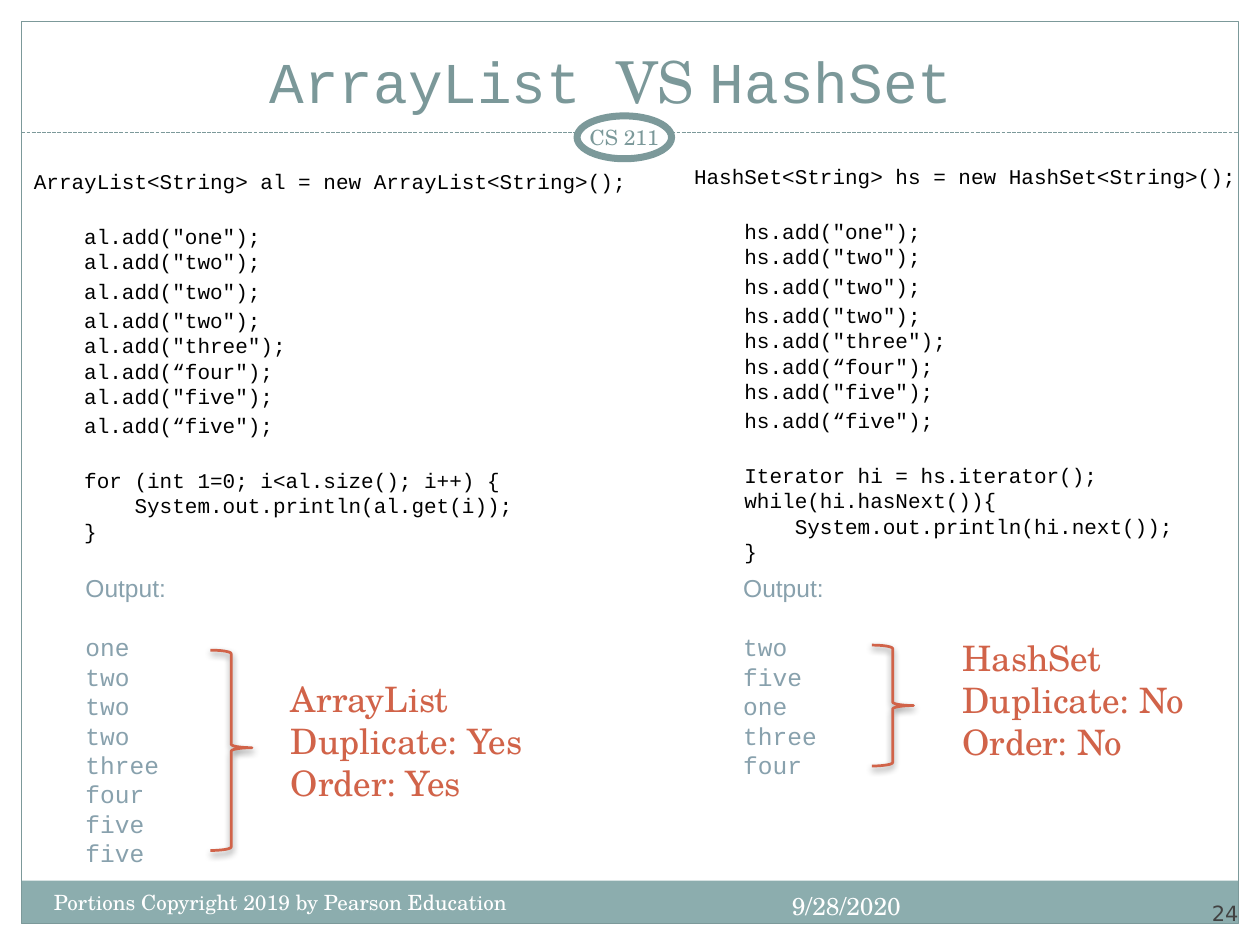
import pptx
import pptx.util
import pptx.dml.color
import pptx.enum.dml
import pptx.enum.shapes
import pptx.enum.text
import lxml.etree

Inches, Pt = pptx.util.Inches, pptx.util.Pt
SHAPE = pptx.enum.shapes.MSO_SHAPE
ALIGN = pptx.enum.text.PP_ALIGN
ANCHOR = pptx.enum.text.MSO_ANCHOR
DRAWING = "http://schemas.openxmlformats.org/drawingml/2006/main"

CODE, SERIF, SANS = "Courier New", "TeX Gyre Schola", "Arial"
TEAL, BAND, ACCENT, MUTED = "7C999A", "8CADAE", "D16349", "88A1AD"
WIDTH, HEIGHT, MARGIN = 10, 7.5, 0.17
RULE_TOP, BAND_TOP, OUTPUT_TOP = 1.05, 6.99, 4.5
CODE_GAP, LINE_GAP, OUTPUT_GAP = 17, 2.4, 17

TITLE = [("ArrayList ", CODE), ("VS ", SERIF), ("HashSet", CODE)]

# Each code block is a list of (space before in points, text).
COLUMNS = [
    {
        "code_at": (0.17, 1.29, 4.98, 3.33),
        "code": [
            (0, "ArrayList<String> al = new ArrayList<String>();"),
            (CODE_GAP, '    al.add("one");\n    al.add("two");'),
            (LINE_GAP, '    al.add("two");'),
            (LINE_GAP, '    al.add("two");\n    al.add("three");\n'
                       '    al.add(“four");\n    al.add("five");'),
            (LINE_GAP, '    al.add(“five");'),
            (CODE_GAP, "    for (int 1=0; i<al.size(); i++) {\n"
                       "        System.out.println(al.get(i));\n    }"),
        ],
        "output_left": 0.58,
        "output": ["one", "two", "two", "two", "three", "four", "five", "five"],
        "brace_at": (1.67, 5.16, 0.33, 1.59),
        "brace_point": 0.487,
        "summary_at": (2.21, 5.33, 2.13, 1.11),
        "summary": ["ArrayList", "Duplicate: Yes", "Order: Yes"],
    },
    {
        "code_at": (5.41, 1.25, 4.58, 3.37),
        "code": [
            (0, "HashSet<String> hs = new HashSet<String>();"),
            (CODE_GAP, '    hs.add("one");\n    hs.add("two");'),
            (LINE_GAP, '    hs.add("two");'),
            (LINE_GAP, '    hs.add("two");\n    hs.add("three");\n'
                       '    hs.add(“four");\n    hs.add("five");'),
            (LINE_GAP, '    hs.add(“five");'),
            (CODE_GAP, "    Iterator hi = hs.iterator();\n    while(hi.hasNext()){\n"
                       "        System.out.println(hi.next());\n    }"),
        ],
        "output_left": 5.8,
        "output": ["two", "five", "one", "three", "four"],
        "brace_at": (6.92, 5.12, 0.33, 0.96),
        "brace_point": 0.5,
        "summary_at": (7.54, 5, 2.13, 1.11),
        "summary": ["HashSet", "Duplicate: No", "Order: No"],
    },
]


def color(value):
    return pptx.dml.color.RGBColor.from_string(value)


def style(font, name, size, value):
    font.name, font.size = name, Pt(size)
    font.color.rgb = color(value)


def add_preset(slide, kind, at, fill=None, line=None, line_width=0.75):
    shape = slide.shapes.add_shape(kind, *map(Inches, at))
    shape.shadow.inherit = False
    if fill:
        shape.fill.solid()
        shape.fill.fore_color.rgb = color(fill)
    else:
        shape.fill.background()
    if line:
        shape.line.color.rgb = color(line)
        shape.line.width = Pt(line_width)
    else:
        shape.line.fill.background()
    return shape


def set_insets(frame, inset):
    frame.margin_left = frame.margin_right = Inches(inset)
    frame.margin_top = frame.margin_bottom = Inches(inset)


def add_text(slide, at, paragraphs, font, size, value, align=ALIGN.LEFT):
    """Add a text box from (space before, text) pairs and return its frame."""
    frame = slide.shapes.add_textbox(*map(Inches, at)).text_frame
    frame.word_wrap = True
    for index, (space, text) in enumerate(paragraphs):
        paragraph = frame.add_paragraph() if index else frame.paragraphs[0]
        paragraph.text = text
        paragraph.alignment = align
        if space:
            paragraph.space_before = Pt(space)
        style(paragraph.font, font, size, value)
    return frame


def add_soft_shadow(shape):
    effects = shape._element.spPr.find(f"{{{DRAWING}}}effectLst")
    shadow = lxml.etree.SubElement(
        effects, f"{{{DRAWING}}}outerShdw", blurRad=str(Pt(4)),
        dist=str(Pt(2)), dir="5400000", rotWithShape="0")
    black = lxml.etree.SubElement(shadow, f"{{{DRAWING}}}srgbClr", val="000000")
    lxml.etree.SubElement(black, f"{{{DRAWING}}}alpha", val="45000")


def add_frame(slide):
    inner_width = WIDTH - 2 * MARGIN
    add_preset(slide, SHAPE.RECTANGLE, (MARGIN, BAND_TOP, inner_width, 0.34), fill=BAND)
    add_preset(slide, SHAPE.RECTANGLE,
               (MARGIN, MARGIN, inner_width, HEIGHT - 2 * MARGIN), line=TEAL)
    rule = slide.shapes.add_connector(
        pptx.enum.shapes.MSO_CONNECTOR.STRAIGHT, Inches(MARGIN), Inches(RULE_TOP),
        Inches(WIDTH - MARGIN), Inches(RULE_TOP))
    rule.line.color.rgb = color(TEAL)
    rule.line.width = Pt(0.75)
    rule.line.dash_style = pptx.enum.dml.MSO_LINE.SQUARE_DOT
    lxml.etree.SubElement(rule._element.spPr, f"{{{DRAWING}}}effectLst")

    badge = add_preset(slide, SHAPE.OVAL, (4.58, 0.92, 0.75, 0.34), "FFFFFF", TEAL, 4)
    frame = badge.text_frame
    frame.word_wrap = False
    frame.vertical_anchor = ANCHOR.MIDDLE
    set_insets(frame, 0)
    paragraph = frame.paragraphs[0]
    paragraph.text = "CS 211"
    paragraph.alignment = ALIGN.CENTER
    style(paragraph.font, SERIF, 12, TEAL)


def add_title(slide):
    frame = slide.shapes.add_textbox(*map(Inches, (0.33, 0.25, 9.33, 0.71))).text_frame
    frame.word_wrap = True
    frame.vertical_anchor = ANCHOR.BOTTOM
    frame.margin_right = Inches(0.39)
    paragraph = frame.paragraphs[0]
    paragraph.alignment = ALIGN.CENTER
    for text, font in TITLE:
        run = paragraph.add_run()
        run.text = text
        style(run.font, font, 33, "7B9899")


def add_column(slide, column):
    add_text(slide, column["code_at"], column["code"], CODE, 12, "000000")

    words = column["output"]
    lines = [(0, "Output:"), (OUTPUT_GAP, words[0])] + [(0, word) for word in words[1:]]
    height = 0.1 + 0.236 * (len(words) + 2)
    output = add_text(slide, (column["output_left"], OUTPUT_TOP, 1.42, height),
                      lines, CODE, 14, MUTED)
    output.paragraphs[0].font.name = SANS

    brace = add_preset(slide, SHAPE.RIGHT_BRACE, column["brace_at"],
                       line=ACCENT, line_width=1.57)
    brace.adjustments[0] = 0.083
    brace.adjustments[1] = column["brace_point"]
    add_soft_shadow(brace)
    add_text(slide, column["summary_at"], [(0, line) for line in column["summary"]],
             SERIF, 20, ACCENT)


def add_footer(slide):
    add_text(slide, (0.33, 7.01, 4.08, 0.4),
             [(0, "Portions Copyright 2019 by Pearson Education")], SERIF, 12, "FFFFFF")
    add_text(slide, (5.59, 7.02, 1.66, 0.4), [(0, "9/28/2020")],
             SERIF, 14, "FFFFFF", ALIGN.RIGHT)
    number = add_text(slide, (9, 6.95, 0.83, 0.4), [(0, "24")],
                      "DejaVu Sans", 12, "424242", ALIGN.RIGHT)
    number.vertical_anchor = ANCHOR.BOTTOM
    set_insets(number, 0)


def main():
    presentation = pptx.Presentation()
    presentation.slide_width, presentation.slide_height = Inches(WIDTH), Inches(HEIGHT)
    slide = presentation.slides.add_slide(presentation.slide_layouts[6])
    add_frame(slide)
    add_title(slide)
    for column in COLUMNS:
        add_column(slide, column)
    add_footer(slide)
    presentation.save("out.pptx")


if __name__ == "__main__":
    main()
